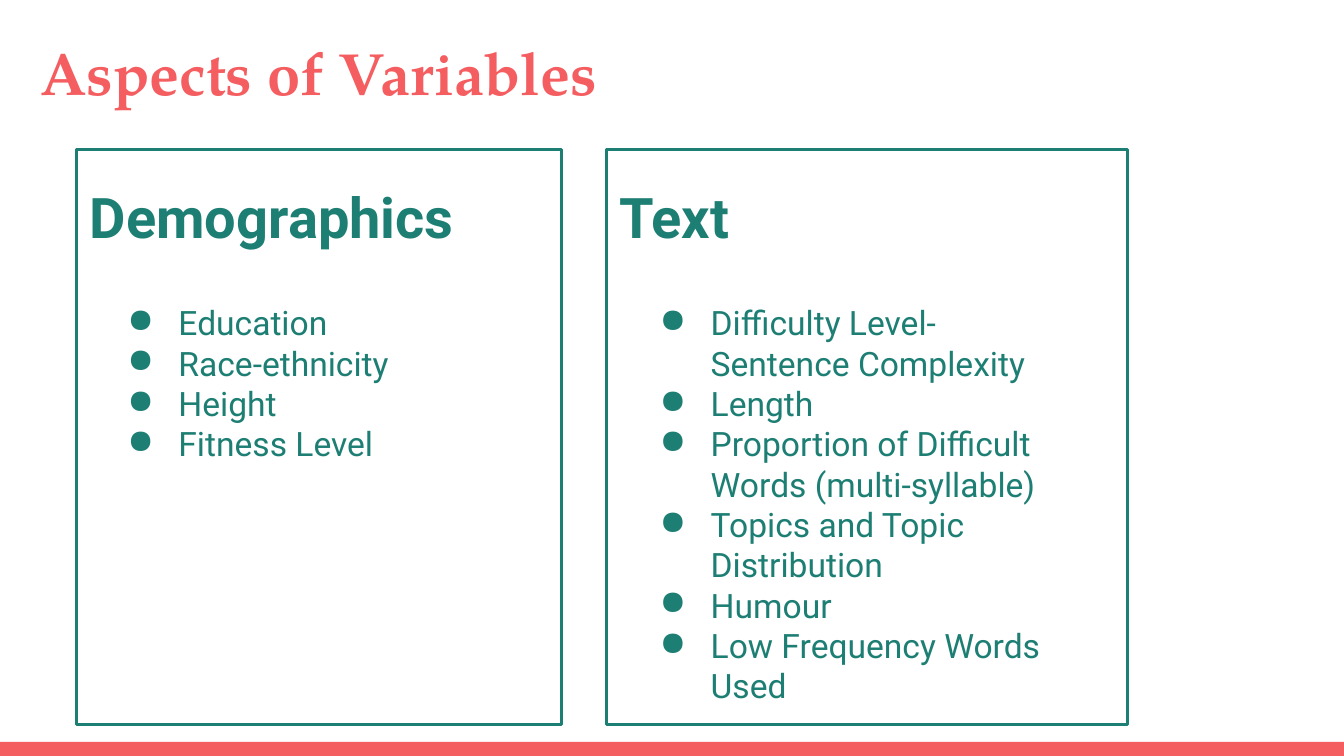
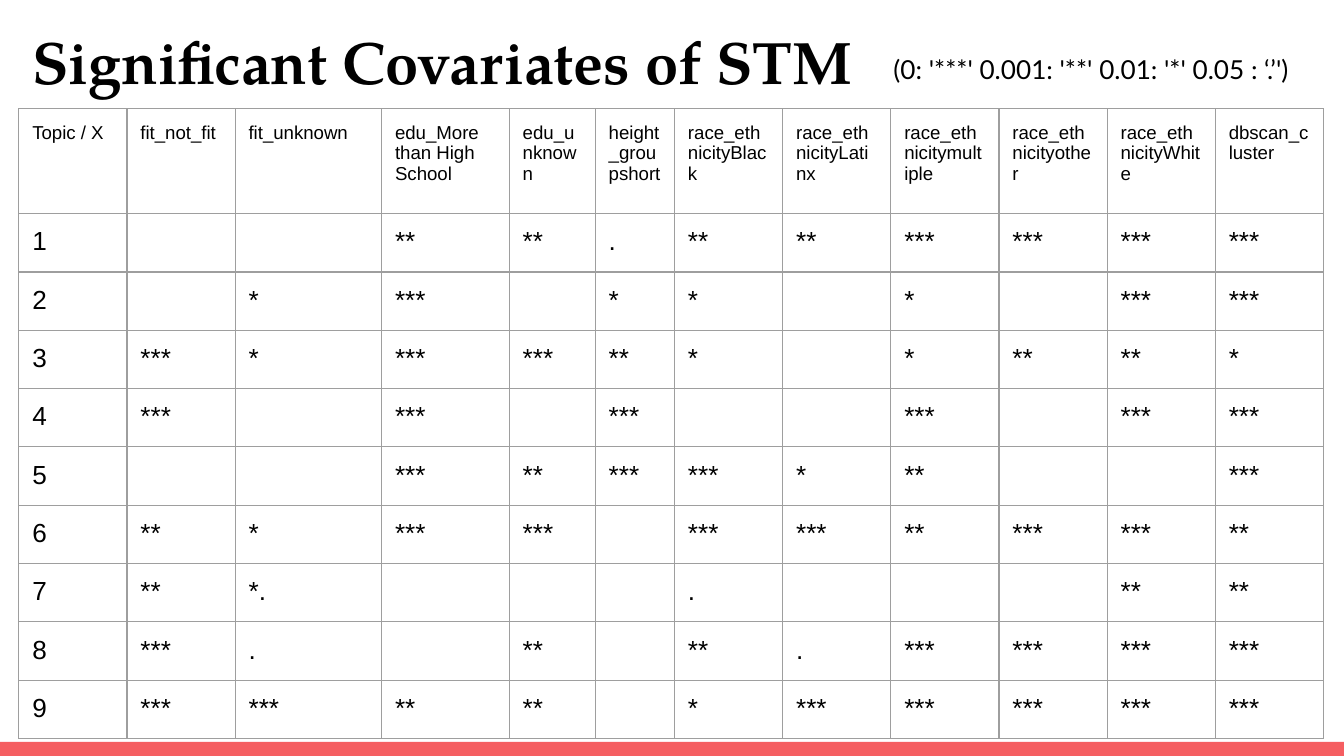
from dataclasses import dataclass
from typing import Any, Sequence

from lxml.etree import SubElement as Sub
from pptx import Presentation
from pptx.dml.color import RGBColor as RGB
from pptx.enum.shapes import MSO_SHAPE as Shape
from pptx.enum.text import MSO_ANCHOR as Anchor
from pptx.oxml.ns import qn
from pptx.util import Inches, Pt


@dataclass(frozen=True)
class Theme:
    coral: str = "F55E61"
    teal: str = "1D7E74"
    black: str = "000000"
    white: str = "FFFFFF"
    grid: str = "9E9E9E"
    title_font: str = "TeX Gyre Pagella"
    panel_font: str = "Roboto"
    table_font: str = "Arial"
    legend_font: str = "Lato"
    title_size: int = 32
    heading_size: int = 30
    body_size: int = 18
    mark_size: int = 14
    label_size: int = 10


@dataclass(frozen=True)
class Box:
    """Place in percent of the slide's width and height."""
    left: float
    top: float
    width: float
    height: float

    def emu(self) -> tuple[int, int, int, int]:
        return across(self.left), down(self.top), across(self.width), down(self.height)


@dataclass(frozen=True)
class Panel:
    heading: str
    items: tuple[str, ...]
    left: float
    width: float
    text_width: float
    list_shift: float


THEME = Theme()
WIDTH, HEIGHT = Inches(10), Inches(5.625)
INSET = Inches(0.1)

# Panels, back to front
PANELS = (
    Panel("Text", ("Difficulty Level- Sentence Complexity", "Length",
                   "Proportion of Difficult Words (multi-syllable)",
                   "Topics and Topic Distribution", "Humour",
                   "Low Frequency Words Used"), 45.1, 38.8, 34.4, 1.8),
    Panel("Demographics", ("Education", "Race-ethnicity", "Height", "Fitness Level"),
          5.7, 36.1, 32, 1.6),
)

# Covariate table: one mark per column, "-" for an empty cell
HEADERS = ("Topic / X", "fit_not_fit", "fit_unknown", "edu_More than High School",
           "edu_unknown", "height_groupshort", "race_ethnicityBlack",
           "race_ethnicityLatinx", "race_ethnicitymultiple", "race_ethnicityother",
           "race_ethnicityWhite", "dbscan_cluster")
MARKS = (
    "- - ** ** . ** ** *** *** *** ***",
    "- * *** - * * - * - *** ***",
    "*** * *** *** ** * - * ** ** *",
    "*** - *** - *** - - *** - *** ***",
    "- - *** ** *** *** * ** - - ***",
    "** * *** *** - *** *** ** *** *** **",
    "** *. - - - . - - - ** **",
    "*** . - ** - ** . *** *** *** ***",
    "*** *** ** ** - * *** *** *** *** ***",
)
SPECIAL_WIDTHS = {2: 10.9, 3: 9.5, 4: 6.4, 5: 5.9}
TABLE_BOX = Box(1.4, 14.4, 97.1, 74.71)
HEADER_HEIGHT, ROW_HEIGHT = 13.87, 6.76


def across(share: float) -> int:
    return round(WIDTH * share / 100)


def down(share: float) -> int:
    return round(HEIGHT * share / 100)


def add_bullet(p: Any, color: str) -> None:
    pPr = p._p.get_or_add_pPr()
    pPr.set("marL", str(Inches(0.5)))
    pPr.set("indent", str(-Inches(0.38)))
    Sub(Sub(pPr, qn("a:buClr")), qn("a:srgbClr"), val=color)
    Sub(pPr, qn("a:buChar"), char="●")


def write(tf: Any, lines: Sequence[str], *, size: int, font: str, color: str,
          bold: bool = False, bullets: bool = False) -> None:
    for i, line in enumerate(lines):
        p = tf.paragraphs[0] if i == 0 else tf.add_paragraph()
        if bullets:
            add_bullet(p, color)
        f = p.font
        if line:
            r = p.add_run()
            r.text = line
            f = r.font
        f.size, f.name, f.bold = Pt(size), font, bold
        f.color.rgb = RGB.from_string(color)


def set_insets(target: Any) -> None:
    target.margin_left = target.margin_right = INSET
    target.margin_top = target.margin_bottom = INSET


def add_text(shapes: Any, box: Box, *lines: str, anchor: Anchor = Anchor.TOP,
             **style: Any) -> None:
    tf = shapes.add_textbox(*box.emu()).text_frame
    tf.word_wrap = True
    tf.vertical_anchor = anchor
    set_insets(tf)
    write(tf, lines, **style)


def add_rect(shapes: Any, box: Box, fill: str, line: str = "") -> None:
    sp = shapes.add_shape(Shape.RECTANGLE, *box.emu())
    sp.shadow.inherit = False
    sp.fill.solid()
    sp.fill.fore_color.rgb = RGB.from_string(fill)
    if line:
        sp.line.color.rgb = RGB.from_string(line)
        sp.line.width = Pt(1.5)
    else:
        sp.line.fill.background()


def add_slide(prs: Any, title: str, left: float, top: float, color: str) -> Any:
    """Blank slide with the shared bottom band and title style."""
    s = prs.slides.add_slide(prs.slide_layouts[6])
    add_rect(s.shapes, Box(0, 98.13, 100, 1.87), THEME.coral)
    add_text(s.shapes, Box(left, top, 93.2, 12.09), title, anchor=Anchor.MIDDLE,
             size=THEME.title_size, font=THEME.title_font, color=color, bold=True)
    return s


def add_panel(s: Any, panel: Panel) -> None:
    shapes = s.shapes.add_group_shape().shapes
    style = dict(font=THEME.panel_font, color=THEME.teal)
    add_rect(shapes, Box(panel.left, 19.73, panel.width, 76.09), THEME.white, THEME.teal)
    add_text(shapes, Box(panel.left + panel.list_shift, 38.22, panel.text_width, 35.02),
             *panel.items, size=THEME.body_size, bullets=True, **style)
    add_text(shapes, Box(panel.left, 22.4, panel.text_width, 20.62), panel.heading,
             size=THEME.heading_size, bold=True, **style)


def format_cell(cell: Any, text: str, size: int) -> None:
    set_insets(cell)
    write(cell.text_frame, [text], size=size, font=THEME.table_font, color=THEME.black)
    tcPr = cell._tc.get_or_add_tcPr()
    for side in ("lnL", "lnR", "lnT", "lnB"):
        ln = Sub(tcPr, qn(f"a:{side}"), w=str(Pt(0.75)))
        Sub(Sub(ln, qn("a:solidFill")), qn("a:srgbClr"), val=THEME.grid)
    cell.fill.background()


def add_covariate_table(s: Any) -> None:
    rows = [HEADERS] + [
        (str(topic), *("" if m == "-" else m for m in marks.split()))
        for topic, marks in enumerate(MARKS, 1)]
    table = s.shapes.add_table(len(rows), len(HEADERS), *TABLE_BOX.emu()).table
    table.first_row = table.horz_banding = False

    # Columns without a special width share the rest equally
    rest = TABLE_BOX.width - sum(SPECIAL_WIDTHS.values())
    equal = rest / (len(HEADERS) - len(SPECIAL_WIDTHS))
    for c, column in enumerate(table.columns):
        column.width = across(SPECIAL_WIDTHS.get(c, equal))
    for r, texts in enumerate(rows):
        table.rows[r].height = down(ROW_HEIGHT if r else HEADER_HEIGHT)
        for c, text in enumerate(texts):
            format_cell(table.cell(r, c), text, THEME.mark_size if r else THEME.label_size)


def main() -> None:
    prs = Presentation()
    prs.slide_width, prs.slide_height = WIDTH, HEIGHT

    # Slide 1: aspects of variables
    s = add_slide(prs, "Aspects of Variables", 2, 3.38, THEME.coral)
    for panel in PANELS:
        add_panel(s, panel)

    # Slide 2: significance table with its legend
    s = add_slide(prs, "Significant Covariates of STM", 1.4, 1.96, THEME.black)
    add_covariate_table(s)
    add_text(s.shapes, Box(65.5, 5.33, 33, 7.11),
             "(0: '***' 0.001: '**' 0.01: '*' 0.05 : ‘.’')",
             size=THEME.mark_size, font=THEME.legend_font, color=THEME.black)

    prs.save("out.pptx")


if __name__ == "__main__":
    main()
